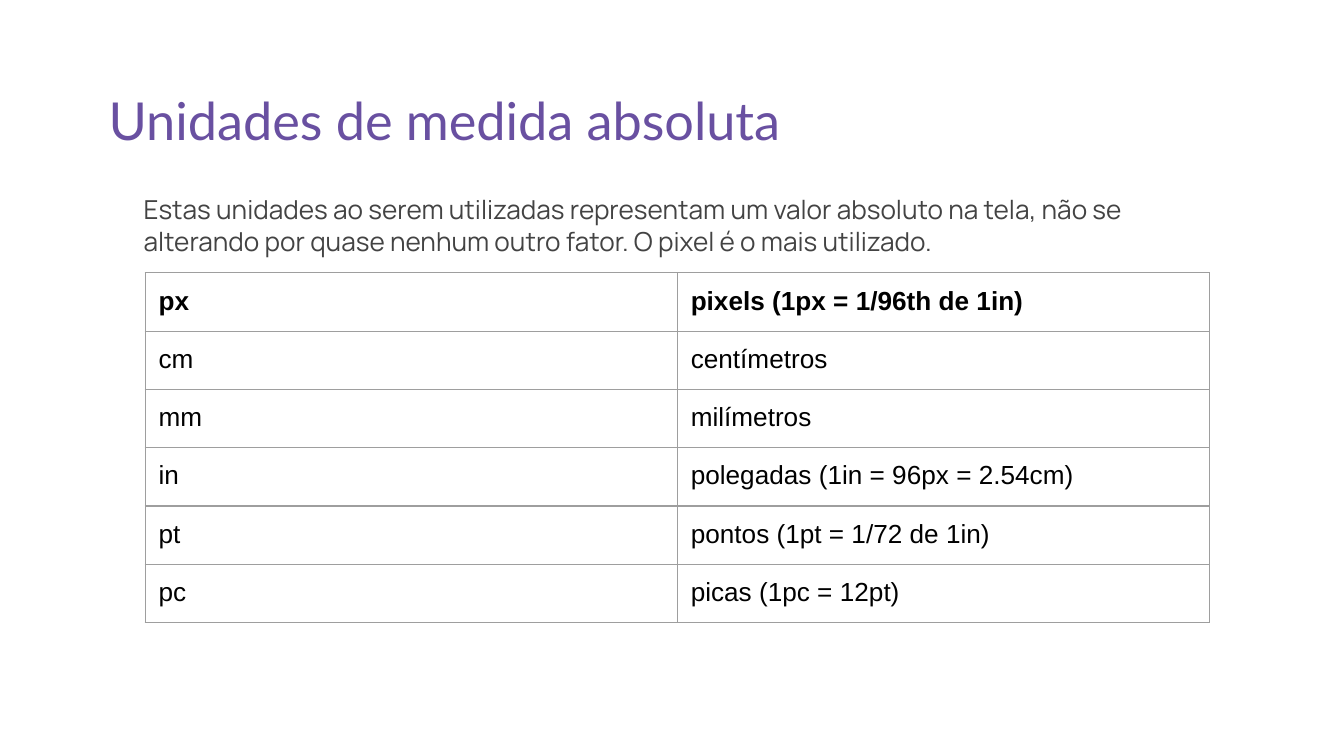
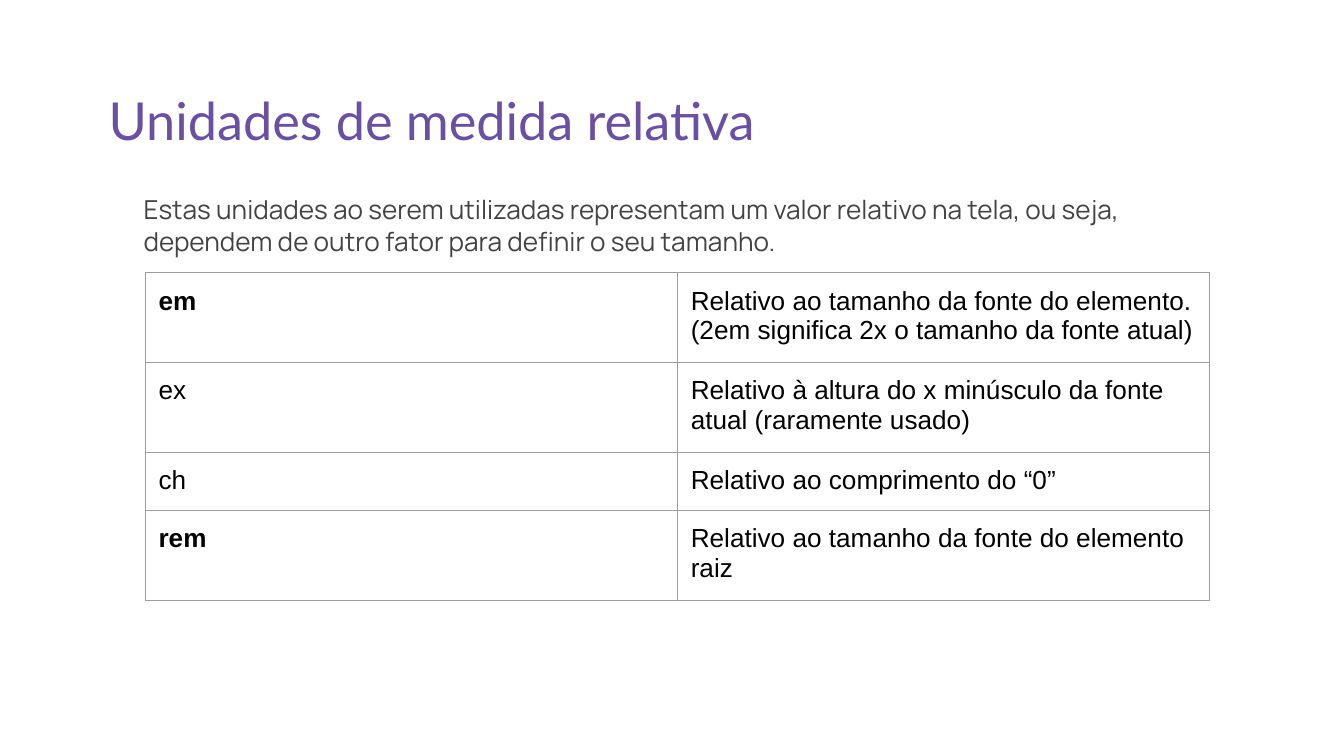
from pptx import Presentation
from pptx.dml.color import RGBColor
from pptx.enum.text import MSO_AUTO_SIZE
from pptx.oxml.ns import qn
from pptx.util import Inches, Pt
from lxml import etree

GROW = MSO_AUTO_SIZE.SHAPE_TO_FIT_TEXT

PURPLE = RGBColor(0x69, 0x50, 0xA1)
GRAY = RGBColor(0x43, 0x43, 0x43)
BLACK = RGBColor(0x00, 0x00, 0x00)
BORDER = RGBColor(0x9E, 0x9E, 0x9E)

SLIDE_WIDTH = Inches(10)
SLIDE_HEIGHT = SLIDE_WIDTH * 9 // 16
TITLE_BOX = (0.71, 0.56, 7.76, 0.67)
INTRO_BOX = (0.47, 1.34, 8.78, 0.91)
INTRO_INDENT = 0.5
TABLE_LEFT, TABLE_TOP = 1.08, 2.03
COLUMN_WIDTH, ROW_HEIGHT = 3.96, 0.42
PADDING = Inches(0.1)

# Each slide: title, introduction, (unit, meaning) rows and the cells in bold.
SLIDES = [
    {
        "title": "Unidades de medida absoluta",
        "intro": "Estas unidades ao serem utilizadas representam um valor absoluto "
                 "na tela, não se alterando por quase nenhum outro fator. "
                 "O pixel é o mais utilizado.",
        "units": [
            ("px", "pixels (1px = 1/96th de 1in)"),
            ("cm", "centímetros"),
            ("mm", "milímetros"),
            ("in", "polegadas (1in = 96px = 2.54cm)"),
            ("pt", "pontos (1pt = 1/72 de 1in)"),
            ("pc", "picas (1pc = 12pt)"),
        ],
        "bold": {"px", "pixels (1px = 1/96th de 1in)"},
    },
    {
        "title": "Unidades de medida relativa",
        "intro": "Estas unidades ao serem utilizadas representam um valor relativo "
                 "na tela, ou seja, dependem de outro fator para definir o seu tamanho.",
        "units": [
            ("em", "Relativo ao tamanho da fonte do elemento. "
                   "(2em significa 2x o tamanho da fonte atual)"),
            ("ex", "Relativo à altura do x minúsculo da fonte atual (raramente usado)"),
            ("ch", "Relativo ao comprimento do “0”"),
            ("rem", "Relativo ao tamanho da fonte do elemento raiz"),
        ],
        "bold": {"em", "rem"},
    },
]


def add_run(paragraph, text, font, size, color, bold=False):
    run = paragraph.add_run()
    run.text = text
    run.font.name = font
    run.font.size = Pt(size)
    run.font.color.rgb = color
    run.font.bold = bold


def set_padding(target):
    """Give a text frame or a table cell the same inset on every side."""
    target.margin_left = target.margin_right = PADDING
    target.margin_top = target.margin_bottom = PADDING


def add_text(slide, box, text, font, size, color, indent=0):
    frame = slide.shapes.add_textbox(*map(Inches, box)).text_frame
    frame.word_wrap = True
    frame.auto_size = GROW
    set_padding(frame)
    paragraph = frame.paragraphs[0]
    properties = paragraph._p.get_or_add_pPr()
    properties.set("marL", str(Inches(indent)))
    properties.set("indent", "0")
    add_run(paragraph, text, font, size, color)


def add_borders(cell):
    properties = cell._tc.get_or_add_tcPr()
    for side in ("a:lnL", "a:lnR", "a:lnT", "a:lnB"):
        line = etree.SubElement(properties, qn(side), w=str(Pt(0.75)))
        fill = etree.SubElement(line, qn("a:solidFill"))
        etree.SubElement(fill, qn("a:srgbClr"), val=str(BORDER))


def add_unit_table(slide, units, bold):
    columns = len(units[0])
    table = slide.shapes.add_table(
        len(units), columns, Inches(TABLE_LEFT), Inches(TABLE_TOP),
        Inches(COLUMN_WIDTH * columns), Inches(ROW_HEIGHT * len(units))).table
    table.first_row = table.horz_banding = False
    for column in table.columns:
        column.width = Inches(COLUMN_WIDTH)
    for row, unit in zip(table.rows, units):
        row.height = Inches(ROW_HEIGHT)
        for cell, text in zip(row.cells, unit):
            set_padding(cell)
            add_borders(cell)
            cell.fill.background()
            add_run(cell.text_frame.paragraphs[0], text, "Arial", 14, BLACK,
                    text in bold)


def main():
    deck = Presentation()
    deck.slide_width, deck.slide_height = SLIDE_WIDTH, SLIDE_HEIGHT
    blank = deck.slide_layouts[6]
    for content in SLIDES:
        slide = deck.slides.add_slide(blank)
        add_text(slide, INTRO_BOX, content["intro"], "Manrope", 14, GRAY, INTRO_INDENT)
        add_text(slide, TITLE_BOX, content["title"], "Lato", 28, PURPLE)
        add_unit_table(slide, content["units"], content["bold"])
    deck.save("out.pptx")


if __name__ == "__main__":
    main()
